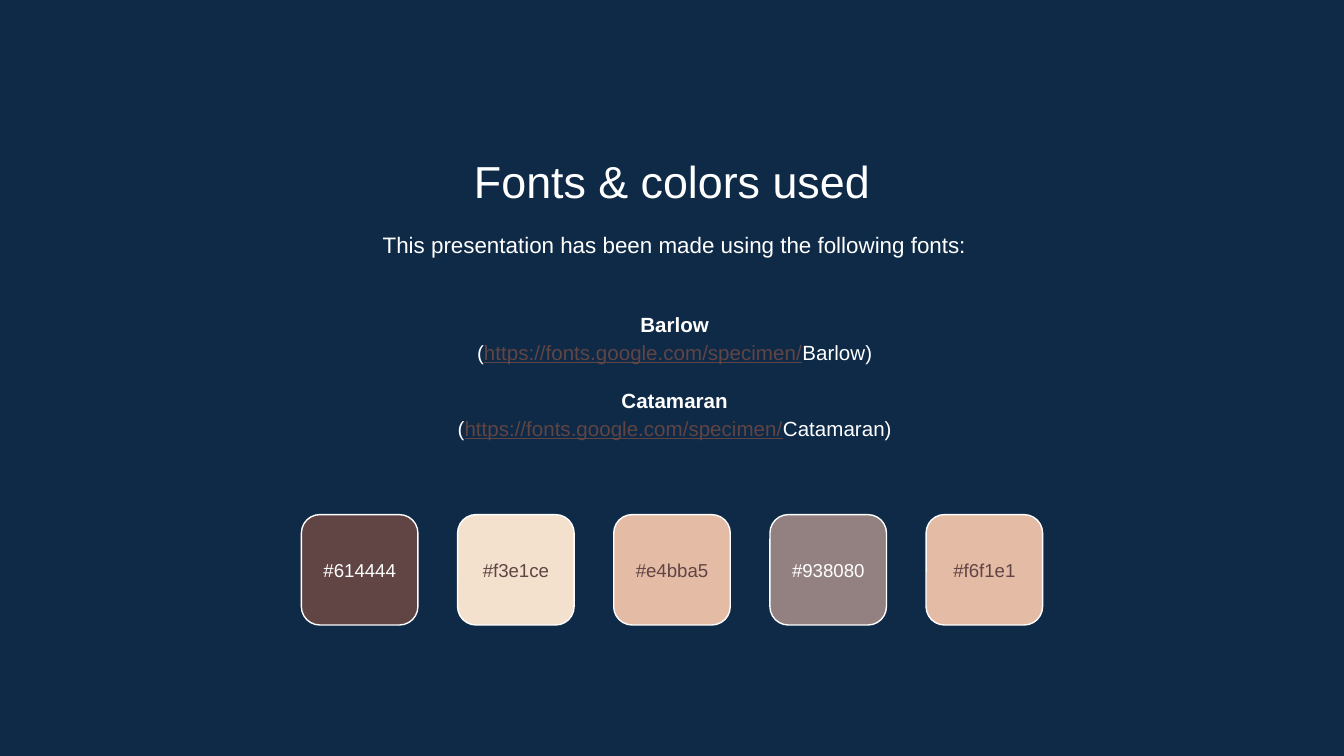
from dataclasses import dataclass

import pptx
import pptx.dml.color
import pptx.enum.shapes
import pptx.enum.text
import pptx.util

ANCHOR = pptx.enum.text.MSO_ANCHOR
FONT = "Arial"
LINE_SPACING = 1.15
COLORS = {
    "navy": "0E2A47",
    "white": "FFFFFF",
    "brown": "614444",
    "cream": "F3E1CE",
    "peach": "E4BBA5",
    "taupe": "938080",
}
SLIDE_WIDTH = pptx.util.Inches(10)
SLIDE_HEIGHT = SLIDE_WIDTH * 9 // 16


@dataclass(frozen=True)
class Area:
    """A rectangle in percent of the slide's width and height."""

    left: float
    top: float
    width: float
    height: float

    def emu(self) -> tuple[int, int, int, int]:
        return (
            round(self.left / 100 * SLIDE_WIDTH),
            round(self.top / 100 * SLIDE_HEIGHT),
            round(self.width / 100 * SLIDE_WIDTH),
            round(self.height / 100 * SLIDE_HEIGHT),
        )


@dataclass(frozen=True)
class Swatch:
    label: str
    fill: str
    ink: str


TITLE_AREA = Area(11.45, 18.5, 77.1, 9.43)
INTRO_AREA = Area(11.65, 28.3, 77.1, 8.54)
FONT_LIST_AREA = Area(11.65, 37.33, 77.1, 24.36)
FIRST_SWATCH = Area(22.43, 68.08, 8.67, 14.6)
SWATCH_PITCH = 11.62
LABEL_TOP, LABEL_HEIGHT = 71.11, 8.53

SPECIMEN_URL = "https://fonts.google.com/specimen/"
FONT_NAMES = ("Barlow", "Catamaran")
SWATCHES = (
    Swatch("#614444", "brown", "white"),
    Swatch("#f3e1ce", "cream", "brown"),
    Swatch("#e4bba5", "peach", "brown"),
    Swatch("#938080", "taupe", "white"),
    Swatch("#f6f1e1", "peach", "brown"),
)


def rgb(name: str) -> pptx.dml.color.RGBColor:
    return pptx.dml.color.RGBColor.from_string(COLORS[name])


def style_run(run, size: float, color: str = "white", bold: bool = False,
              underline: bool = False) -> None:
    run.font.name = FONT
    run.font.size = pptx.util.Pt(size)
    run.font.color.rgb = rgb(color)
    run.font.bold = bold
    run.font.underline = underline


def style_frame(frame, anchor) -> None:
    frame.word_wrap = True
    frame.auto_size = pptx.enum.text.MSO_AUTO_SIZE.NONE
    frame.vertical_anchor = anchor
    frame.margin_left = frame.margin_right = pptx.util.Inches(0.1)
    frame.margin_top = frame.margin_bottom = pptx.util.Inches(0.1)


def center(paragraph, spacing: float = 1.0) -> None:
    paragraph.alignment = pptx.enum.text.PP_ALIGN.CENTER
    paragraph.line_spacing = spacing


def write_line(frame, text: str, size: float, color: str = "white",
               spacing: float = 1.0) -> None:
    paragraph = frame.paragraphs[0]
    paragraph.text = text
    center(paragraph, spacing)
    style_run(paragraph.runs[0], size, color)


def add_text_frame(slide, area: Area, anchor):
    frame = slide.shapes.add_textbox(*area.emu()).text_frame
    style_frame(frame, anchor)
    return frame


def add_title(slide) -> None:
    title = slide.shapes.title
    title.left, title.top, title.width, title.height = TITLE_AREA.emu()
    style_frame(title.text_frame, ANCHOR.TOP)
    write_line(title.text_frame, "Fonts & colors used", 24)


def add_font_list(slide) -> None:
    """Each font's name in bold, with its web address on the line below."""
    frame = add_text_frame(slide, FONT_LIST_AREA, ANCHOR.MIDDLE)
    for index, font_name in enumerate(FONT_NAMES):
        heading = frame.add_paragraph() if index else frame.paragraphs[0]
        heading.text = font_name
        center(heading, LINE_SPACING)
        if index:
            heading.space_before = pptx.util.Pt(10.5)
        style_run(heading.runs[0], 11, bold=True)

        address = frame.add_paragraph()
        center(address, LINE_SPACING)
        for part in ("(", SPECIMEN_URL, f"{font_name})"):
            run = address.add_run()
            run.text = part
            is_url = part == SPECIMEN_URL
            style_run(run, 11, "brown" if is_url else "white", underline=is_url)


def add_swatch(slide, swatch: Swatch, column: int) -> None:
    left = FIRST_SWATCH.left + column * SWATCH_PITCH
    tile_area = Area(left, FIRST_SWATCH.top, FIRST_SWATCH.width, FIRST_SWATCH.height)
    tile = slide.shapes.add_shape(
        pptx.enum.shapes.MSO_SHAPE.ROUNDED_RECTANGLE, *tile_area.emu())
    tile.shadow.inherit = False
    tile.fill.solid()
    tile.fill.fore_color.rgb = rgb(swatch.fill)
    tile.line.color.rgb = rgb("white")
    tile.line.width = pptx.util.Pt(0.75)

    label_area = Area(left, LABEL_TOP, FIRST_SWATCH.width, LABEL_HEIGHT)
    label = add_text_frame(slide, label_area, ANCHOR.MIDDLE)
    write_line(label, swatch.label, 10, swatch.ink)


def main() -> None:
    presentation = pptx.Presentation()
    presentation.slide_width = SLIDE_WIDTH
    presentation.slide_height = SLIDE_HEIGHT
    slide = presentation.slides.add_slide(
        presentation.slide_layouts.get_by_name("Title Only"))
    slide.background.fill.solid()
    slide.background.fill.fore_color.rgb = rgb("navy")

    add_title(slide)
    intro = add_text_frame(slide, INTRO_AREA, ANCHOR.TOP)
    write_line(intro, "This presentation has been made using the following fonts:",
               12, spacing=LINE_SPACING)
    add_font_list(slide)
    for column, swatch in enumerate(SWATCHES):
        add_swatch(slide, swatch, column)

    presentation.save("out.pptx")


if __name__ == "__main__":
    main()
